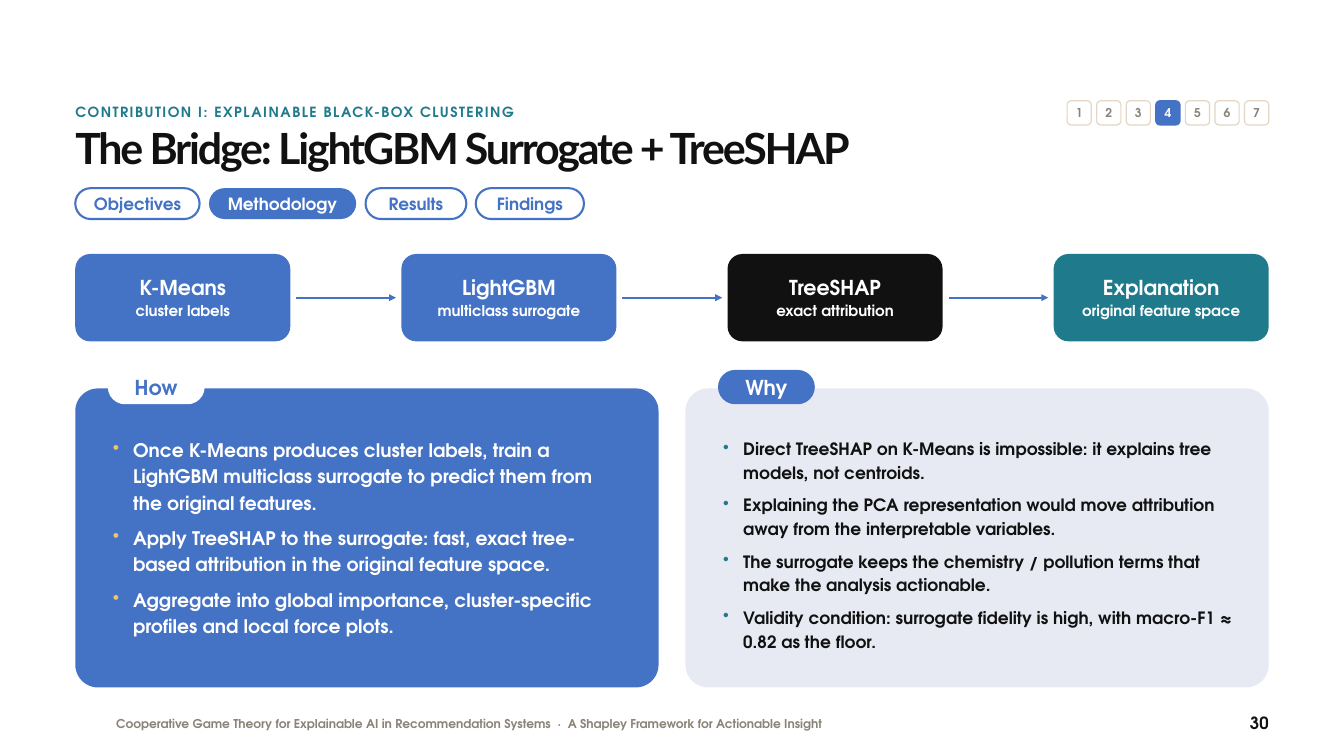
import pptx
import pptx.util
import pptx.dml.color
import pptx.enum.shapes
import pptx.enum.text
import pptx.oxml
import pptx.oxml.ns
from lxml import etree

Inches = pptx.util.Inches
Pt = pptx.util.Pt
SHAPE = pptx.enum.shapes.MSO_SHAPE.ROUNDED_RECTANGLE
ALIGN = pptx.enum.text.PP_ALIGN
ANCHOR = pptx.enum.text.MSO_ANCHOR
FONT = "TeX Gyre Adventor"
COLORS = {
    "blue": "4472C4", "teal": "1F7A8C", "ink": "111111", "white": "FFFFFF",
    "gray": "8A8378", "sand": "E3D6C4", "gold": "ECC665", "pale": "E7EAF3",
}
LEFT, WIDTH = 1.12, 17.76


def rgb(name):
    return pptx.dml.color.RGBColor.from_string(COLORS[name])


def style(para, size, color, lead, align=ALIGN.LEFT, before=0, font=FONT, track=0):
    para.alignment = align
    para.line_spacing = Pt(lead)
    para.space_before = Pt(before)
    for run in para.runs:
        run.font.name = font
        run.font.size = Pt(size)
        run.font.bold = True
        run.font.color.rgb = rgb(color)
        if track:
            run._r.get_or_add_rPr().set("spc", str(round(track * 100)))


def set_frame(frame, pad=0, anchor=ANCHOR.TOP):
    frame.word_wrap = True
    frame.auto_size = pptx.enum.text.MSO_AUTO_SIZE.NONE
    frame.vertical_anchor = anchor
    frame.margin_left = frame.margin_right = Inches(pad)
    frame.margin_top = frame.margin_bottom = 0


def add_text(slide, box, text, size, color, lead, **more):
    frame = slide.shapes.add_textbox(*map(Inches, box)).text_frame
    set_frame(frame)
    frame.text = text
    style(frame.paragraphs[0], size, color, lead, **more)


def add_round(slide, box, curve, fill=None, line=None, weight=2.25):
    shape = slide.shapes.add_shape(SHAPE, *map(Inches, box))
    shape.adjustments[0] = curve
    shape.shadow.inherit = False
    if fill:
        shape.fill.solid()
        shape.fill.fore_color.rgb = rgb(fill)
    else:
        shape.fill.background()
    if line:
        shape.line.color.rgb = rgb(line)
        shape.line.width = Pt(weight)
    else:
        shape.line.fill.background()
    return shape


def add_label(shape, text, size, color, lead):
    frame = shape.text_frame
    set_frame(frame, 0.05, ANCHOR.MIDDLE)
    frame.text = text
    style(frame.paragraphs[0], size, color, lead, ALIGN.CENTER)


def add_head(slide, box, kicker, title):
    left, top, width, height = box
    add_text(slide, (left, top, 14.15, 0.36), kicker, 15, "teal", 20, track=1.6)
    shape = slide.shapes.title
    shape.left, shape.top = Inches(left), Inches(top + 0.36)
    shape.width, shape.height = Inches(width), Inches(height - 0.36)
    set_frame(shape.text_frame)
    shape.text_frame.text = title
    style(shape.text_frame.paragraphs[0], 46, "ink", 50.6, font="Lato", track=-2.3)


def add_pager(slide, box, count, current):
    left, top, width, side = box
    pitch = (width - side) / (count - 1)
    for i in range(count):
        live = i + 1 == current
        shape = add_round(slide, (left + i * pitch, top, side, side), 0.167,
                          "blue" if live else "white", "blue" if live else "sand", 1.25)
        add_label(shape, str(i + 1), 13, "white" if live else "gray", 15)


def add_tabs(slide, box, tabs, current):
    left, top, gap, height = box
    for text, width in tabs:
        live = text == current
        shape = add_round(slide, (left, top, width, height), 0.5,
                          "blue" if live else None, None if live else "blue")
        add_label(shape, text, 18, "white" if live else "blue", 21.6)
        left += width + gap


def add_arrow(slide, start, end, y):
    line = slide.shapes.add_connector(
        pptx.enum.shapes.MSO_CONNECTOR.STRAIGHT,
        Inches(start), Inches(y), Inches(end), Inches(y))
    line.line.color.rgb = rgb("blue")
    line.line.width = Pt(2.5)
    tail = etree.SubElement(line.line._get_or_add_ln(), pptx.oxml.ns.qn("a:tailEnd"))
    tail.set("type", "triangle")
    etree.SubElement(line._element.spPr, pptx.oxml.ns.qn("a:effectLst"))


def add_flow(slide, box, steps):
    left, top, width, height = box
    wide = 3.2
    pitch = (width - wide) / (len(steps) - 1)
    for i, (name, note, fill) in enumerate(steps):
        x = left + i * pitch
        shape = add_round(slide, (x, top, wide, height), 0.169, fill)
        add_label(shape, name, 22, "white", 25.3)
        para = shape.text_frame.add_paragraph()
        para.text = note
        style(para, 16, "white", 19.2, ALIGN.CENTER, 3)
        if i < len(steps) - 1:
            add_arrow(slide, x + wide + 0.09, x + pitch - 0.08, top + height / 2)


def add_bullet(para, color):
    props = para._p.get_or_add_pPr()
    props.set("marL", str(Inches(0.3)))
    props.set("indent", str(-Inches(0.3)))
    tint = etree.SubElement(props, pptx.oxml.ns.qn("a:buClr"))
    etree.SubElement(tint, pptx.oxml.ns.qn("a:srgbClr")).set("val", COLORS[color])
    etree.SubElement(props, pptx.oxml.ns.qn("a:buChar")).set("char", "•")


def add_panel(slide, box, name, items, fill, tab, ink, dot, size, lead):
    left, top, width, height = box
    add_round(slide, box, 0.076, fill)
    shape = add_round(slide, (left + 0.5, top - 0.26, 1.41, 0.48), 0.5, tab, tab)
    add_label(shape, name, 22, "blue" if tab == "white" else "white", 26.4)
    area = (left + 0.56, top + 0.7, width - 1.06, height - 1)
    frame = slide.shapes.add_textbox(*map(Inches, area)).text_frame
    set_frame(frame)
    frame.text = "\n".join(items)
    for i, para in enumerate(frame.paragraphs):
        add_bullet(para, dot)
        style(para, size, ink, lead, before=size / 2 if i else 0)


def add_foot(slide, box, text, page):
    left, top, width, height = box
    add_text(slide, (left + 0.61, top + 0.06, 14, 0.3), text, 13, "gray", 16)
    add_text(slide, (left + width - 1.2, top, 1.2, height), page, 18, "ink", 22,
             align=ALIGN.RIGHT)


def main():
    deck = pptx.Presentation()
    deck.slide_width, deck.slide_height = Inches(20), Inches(11.25)
    slide = deck.slides.add_slide(deck.slide_layouts[5])
    add_head(slide, (LEFT, 1.52, WIDTH, 1.16),
             "CONTRIBUTION I: EXPLAINABLE BLACK-BOX CLUSTERING",
             "The Bridge: LightGBM Surrogate + TreeSHAP")
    add_pager(slide, (15.88, 1.5, 3, 0.36), 7, 4)
    add_tabs(slide, (LEFT, 2.8, 0.14, 0.46),
             [("Objectives", 1.85), ("Methodology", 2.19), ("Results", 1.5),
              ("Findings", 1.61)], "Methodology")
    add_flow(slide, (LEFT, 3.78, WIDTH, 1.3), [
        ("K-Means", "cluster labels", "blue"),
        ("LightGBM", "multiclass surrogate", "blue"),
        ("TreeSHAP", "exact attribution", "ink"),
        ("Explanation", "original feature space", "teal"),
    ])
    gap = 0.4
    half = (WIDTH - gap) / 2
    add_panel(slide, (LEFT, 5.78, half, 4.45), "How", [
        "Once K-Means produces cluster labels, train a LightGBM multiclass surrogate "
        "to predict them from the original features.",
        "Apply TreeSHAP to the surrogate: fast, exact tree-based attribution in the "
        "original feature space.",
        "Aggregate into global importance, cluster-specific profiles and local force plots.",
    ], "blue", "white", "white", "gold", 20, 28)
    add_panel(slide, (LEFT + half + gap, 5.78, half, 4.45), "Why", [
        "Direct TreeSHAP on K-Means is impossible: it explains tree models, not centroids.",
        "Explaining the PCA representation would move attribution away from the "
        "interpretable variables.",
        "The surrogate keeps the chemistry / pollution terms that make the analysis "
        "actionable.",
        "Validity condition: surrogate fidelity is high, with macro-F1 ≈ 0.82 as the floor.",
    ], "pale", "blue", "ink", "teal", 18.2, 25.5)
    add_foot(slide, (LEFT, 10.6, WIDTH, 0.36),
             "Cooperative Game Theory for Explainable AI in Recommendation Systems"
             "  ·  A Shapley Framework for Actionable Insight", "30")
    deck.save("out.pptx")


if __name__ == "__main__":
    main()
